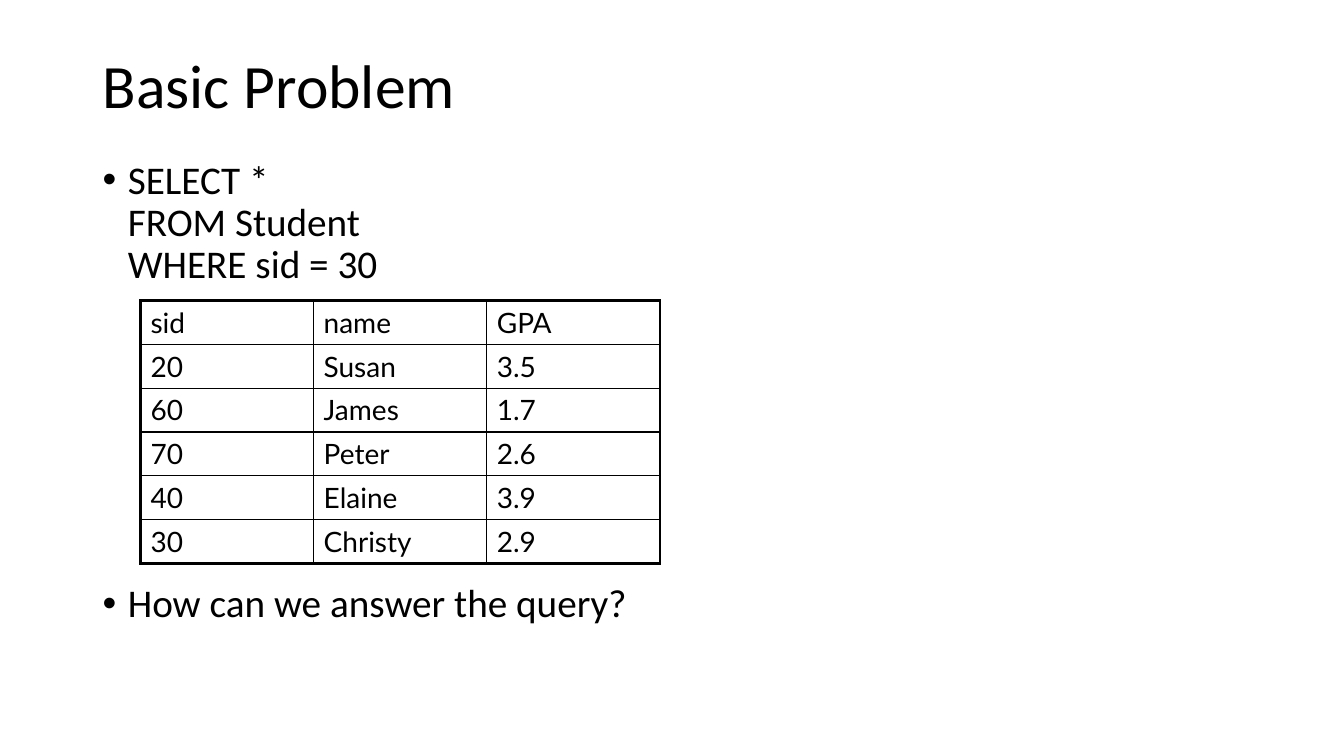
import pptx
import pptx.dml.color
import pptx.enum.text
import pptx.oxml
import pptx.oxml.ns
import pptx.util

BLACK = pptx.dml.color.RGBColor(0x00, 0x00, 0x00)
WHITE = pptx.dml.color.RGBColor(0xFF, 0xFF, 0xFF)

QUERY = ["SELECT *", "FROM Student", "WHERE sid = 30"]
QUESTION = ["How can we answer the query?"]
STUDENTS = [
    ["sid", "name", "GPA"],
    ["20", "Susan", "3.5"],
    ["60", "James", "1.7"],
    ["70", "Peter", "2.6"],
    ["40", "Elaine", "3.9"],
    ["30", "Christy", "2.9"],
]


class Deck:
    """Holds the style and the current slide; boxes are in percent of the slide."""

    text_font = "Calibri"
    table_font = "Lato"
    outer_line = 2.25
    inner_line = 1

    def __init__(self, width, height):
        self.presentation = pptx.Presentation()
        self.presentation.slide_width = pptx.util.Inches(width)
        self.presentation.slide_height = pptx.util.Inches(height)
        self.slide = self.presentation.slides.add_slide(
            self.presentation.slide_layouts[5])
        self.slide.background.fill.solid()
        self.slide.background.fill.fore_color.rgb = WHITE

    def box(self, left, top, width, height):
        across = self.presentation.slide_width / 100
        down = self.presentation.slide_height / 100
        return [round(length) for length in
                (left * across, top * down, width * across, height * down)]

    def style(self, paragraph, face, size):
        paragraph.alignment = pptx.enum.text.PP_ALIGN.LEFT
        paragraph.font.name = face
        paragraph.font.size = pptx.util.Pt(size)
        paragraph.font.color.rgb = BLACK

    def title(self, text, box):
        heading = self.slide.shapes.title
        heading.left, heading.top, heading.width, heading.height = self.box(*box)
        frame = heading.text_frame
        frame.text = text
        frame.auto_size = pptx.enum.text.MSO_AUTO_SIZE.NONE
        frame.vertical_anchor = pptx.enum.text.MSO_ANCHOR.MIDDLE
        frame.paragraphs[0].line_spacing = 0.9
        self.style(frame.paragraphs[0], self.text_font, 44)

    def bullets(self, items, box, gap):
        frame = self.slide.shapes.add_textbox(*self.box(*box)).text_frame
        frame.word_wrap = True
        for index, lines in enumerate(items):
            point = frame.add_paragraph() if index else frame.paragraphs[0]
            point.line_spacing = 0.9
            if index:
                point.space_before = pptx.util.Pt(gap)
            for number, line in enumerate(lines):
                if number:
                    point.add_line_break()
                point.add_run().text = line
            # Hanging bullet
            properties = point._p.get_or_add_pPr()
            indent = pptx.util.Inches(0.25)
            properties.set("marL", str(indent))
            properties.set("indent", str(-indent))
            for tag, name, value in (("buFont", "typeface", "Arial"),
                                     ("buChar", "char", "•")):
                properties.append(pptx.oxml.parse_xml(
                    f'<a:{tag} {pptx.oxml.ns.nsdecls("a")} {name}="{value}"/>'))
            self.style(point, self.text_font, 28)

    def border(self, cell, side, points):
        cell._tc.get_or_add_tcPr().append(pptx.oxml.parse_xml(
            f'<a:ln{side} {pptx.oxml.ns.nsdecls("a")} w="{pptx.util.Pt(points)}">'
            f'<a:solidFill><a:srgbClr val="{BLACK}"/></a:solidFill></a:ln{side}>'))

    def table(self, records, box):
        last_row, last_column = len(records) - 1, len(records[0]) - 1
        left, top, width, height = self.box(*box)
        grid = self.slide.shapes.add_table(
            len(records), len(records[0]), left, top, width, height).table
        grid.first_row = grid.horz_banding = False
        for row, record in enumerate(records):
            for column, value in enumerate(record):
                cell = grid.cell(row, column)
                cell.text = value
                self.style(cell.text_frame.paragraphs[0], self.table_font, 20)
                # Heavy frame around thin inner rules
                edges = {"L": column == 0, "R": column == last_column,
                         "T": row == 0, "B": row == last_row}
                for side, outer in edges.items():
                    self.border(cell, side,
                                self.outer_line if outer else self.inner_line)
                cell.fill.background()


def main():
    deck = Deck(13.33, 7.5)
    # Heading
    deck.title("Basic Problem", (6.9, 4.4, 86.25, 14.53))
    # Query above the table, question below it
    deck.bullets([QUERY, QUESTION], (6.9, 20.53, 86.25, 69.6), gap=212)
    # Student relation
    deck.table(STUDENTS, (10.45, 39.75, 38.65, 34.8))
    deck.presentation.save("out.pptx")


if __name__ == "__main__":
    main()
